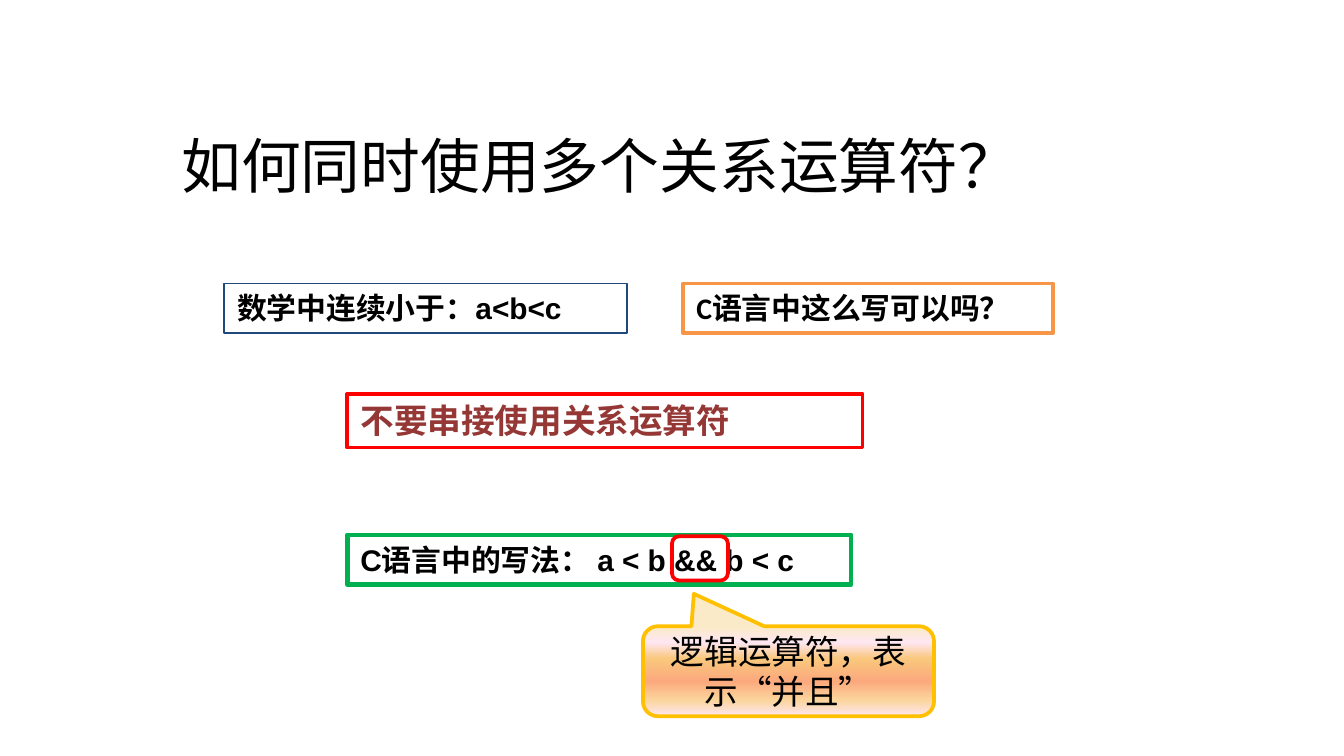
from lxml import etree
from pptx import Presentation
from pptx.dml.color import RGBColor
from pptx.enum.shapes import MSO_SHAPE
from pptx.enum.text import MSO_ANCHOR, PP_ALIGN
from pptx.oxml.ns import qn
from pptx.util import Inches, Pt

RECT = MSO_SHAPE.RECTANGLE
ROUND = MSO_SHAPE.ROUNDED_RECTANGLE
CALLOUT = MSO_SHAPE.ROUNDED_RECTANGULAR_CALLOUT
TOP, MIDDLE = MSO_ANCHOR.TOP, MSO_ANCHOR.MIDDLE
LEFT, CENTER = PP_ALIGN.LEFT, PP_ALIGN.CENTER

WIDE = 10
HIGH = WIDE * 9 / 16
COL = WIDE / 24  # grid column; rows are placed in inches
HAN = "Noto Sans CJK SC"
COLORS = {
    "black": "000000", "white": "FFFFFF", "navy": "1F497D",
    "orange": "F79646", "red": "FF0000", "brick": "953735",
    "green": "00B050", "gold": "FFC000",
}
GLOW = [(0, "FBEAC7"), (18, "FEE7F2"), (36, "FAC77D"),
        (61, "FBA97D"), (82, "FBD49C"), (100, "FEE7F2")]


def rgb(name):
    return RGBColor.from_string(COLORS[name])


def write(shape, text, size=16, font="Arial", color="black", bold=False,
          align=LEFT, anchor=TOP):
    frame = shape.text_frame
    frame.word_wrap = True
    frame.vertical_anchor = anchor
    para = frame.paragraphs[0]
    para.alignment = align
    run = para.add_run()
    run.text = text
    run.font.size = Pt(size)
    run.font.name = font
    run.font.bold = bold
    run.font.color.rgb = rgb(color)
    # Typeface for the Chinese characters
    latin = run.font._element.find(qn("a:latin"))
    east = etree.Element(qn("a:ea"), typeface=HAN)
    latin.addnext(east)


def place(shape, col, top, cols, height):
    shape.left, shape.top = Inches(col * COL), Inches(top)
    shape.width, shape.height = Inches(cols * COL), Inches(height)


def frame_box(slide, kind, spot, line, width, fill=None):
    shape = slide.shapes.add_shape(kind, 0, 0, 0, 0)
    place(shape, *spot)
    shape.shadow.inherit = False
    if fill:
        shape.fill.solid()
        shape.fill.fore_color.rgb = rgb(fill)
    else:
        shape.fill.background()
    shape.line.color.rgb = rgb(line)
    shape.line.width = Pt(width)
    return shape


def shade(shape, stops):
    shape.fill.gradient()
    grad = shape._element.spPr.find(qn("a:gradFill"))
    items = grad.find(qn("a:gsLst"))
    for item in list(items):
        items.remove(item)
    for share, color in stops:
        stop = etree.SubElement(items, qn("a:gs"), pos=str(share * 1000))
        etree.SubElement(stop, qn("a:srgbClr"), val=color)
    # Top to bottom, in 1/60000 degree
    grad.find(qn("a:lin")).set("ang", str(90 * 60000))


def main():
    deck = Presentation()
    deck.slide_width, deck.slide_height = Inches(WIDE), Inches(HIGH)
    slide = deck.slides.add_slide(deck.slide_layouts[5])

    # Title
    title = slide.shapes.title
    place(title, 3, 0.9, 14.6, 0.67)
    write(title, "如何同时使用多个关系运算符？", size=32, font="Calibri",
          anchor=MIDDLE)
    title.text_frame.margin_top = Inches(0.03)

    # Boxed statements: text, spot, line, line width, fill, text format
    rows = [
        ("不要串接使用关系运算符", (6.2, 2.93, 9.2, 0.4), "red", 2, None,
         {"size": 18, "color": "brick"}),
        ("数学中连续小于：a<b<c", (4, 2.11, 7.2, 0.37), "navy", 0.75, None, {}),
        ("C语言中这么写可以吗？", (12.2, 2.11, 6.6, 0.37), "orange", 2, "white",
         {"font": "Calibri"}),
        ("C语言中的写法： a < b && b < c", (6.2, 3.98, 9, 0.37), "green", 2.5,
         None, {}),
    ]
    for text, spot, line, width, fill, style in rows:
        box = frame_box(slide, RECT, spot, line, width, fill)
        write(box, text, bold=True, **style)

    # Callout that explains the operator
    note = frame_box(slide, CALLOUT, (11.48, 4.66, 5.2, 0.67), "gold", 2)
    for index, value in enumerate((-0.325, -0.86, 0.167)):
        note.adjustments[index] = value
    shade(note, GLOW)
    write(note, "逻辑运算符，表示“并且”", size=18, font=HAN, align=CENTER,
          anchor=MIDDLE)

    # Ring around the operator
    frame_box(slide, ROUND, (12, 3.99, 1, 0.33), "red", 2)

    deck.save("out.pptx")


if __name__ == "__main__":
    main()
